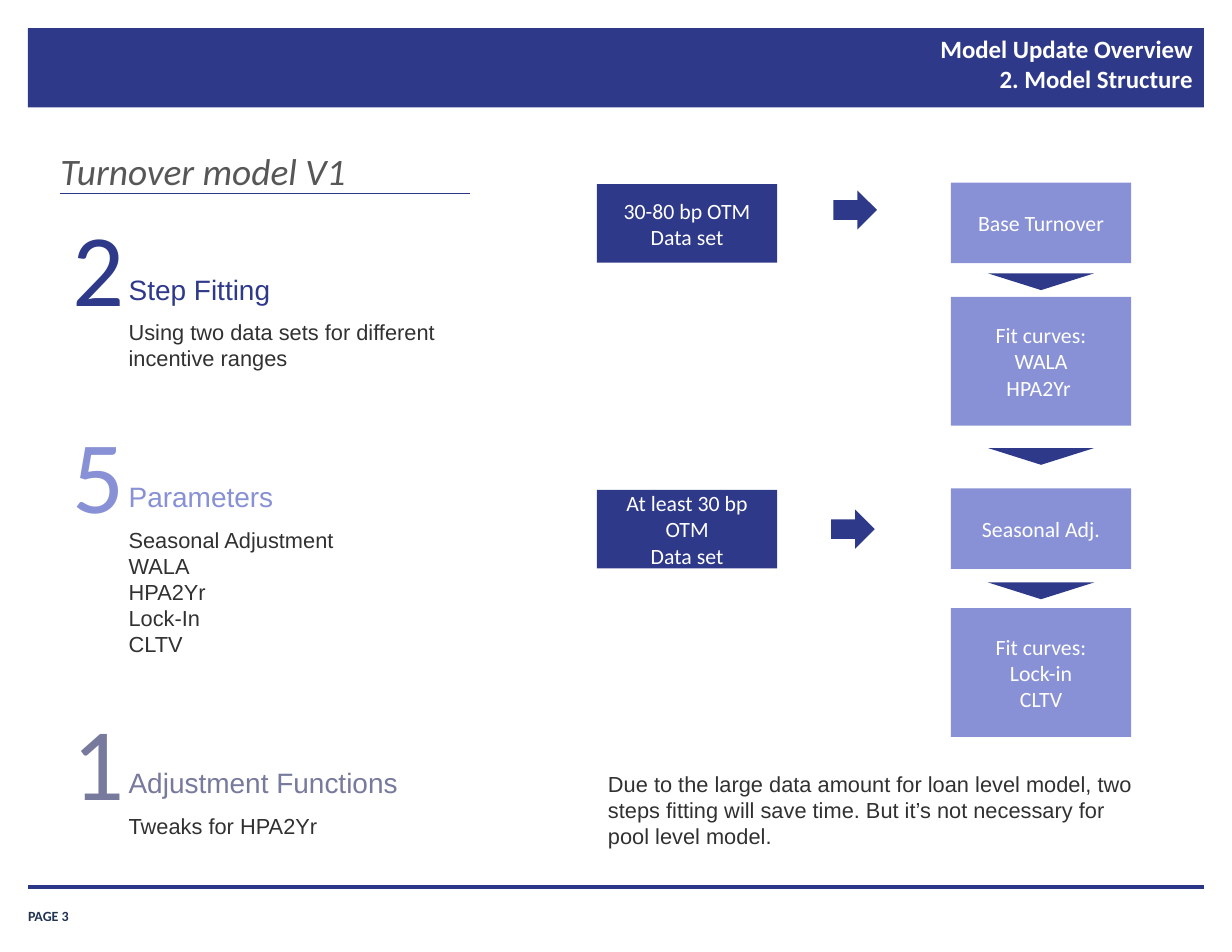
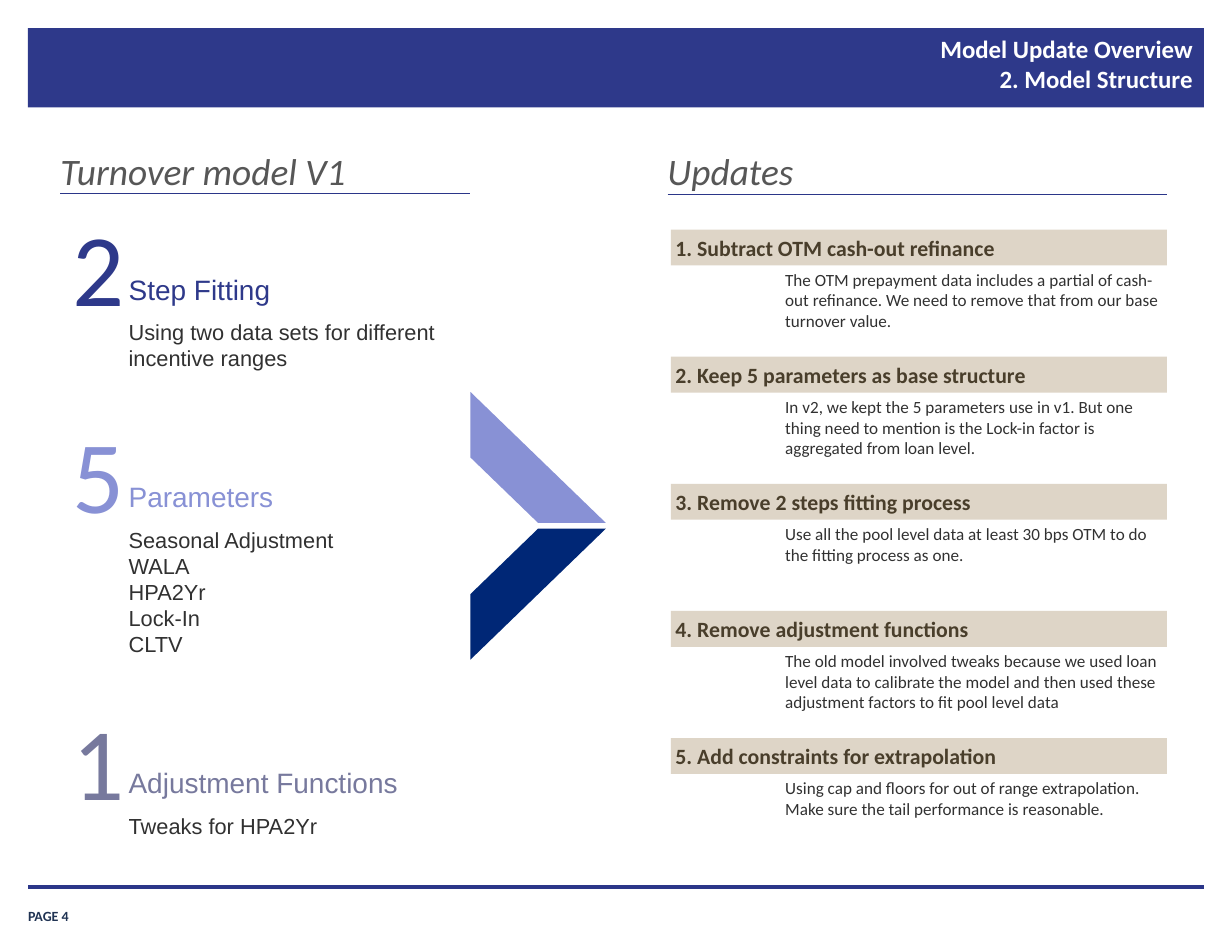
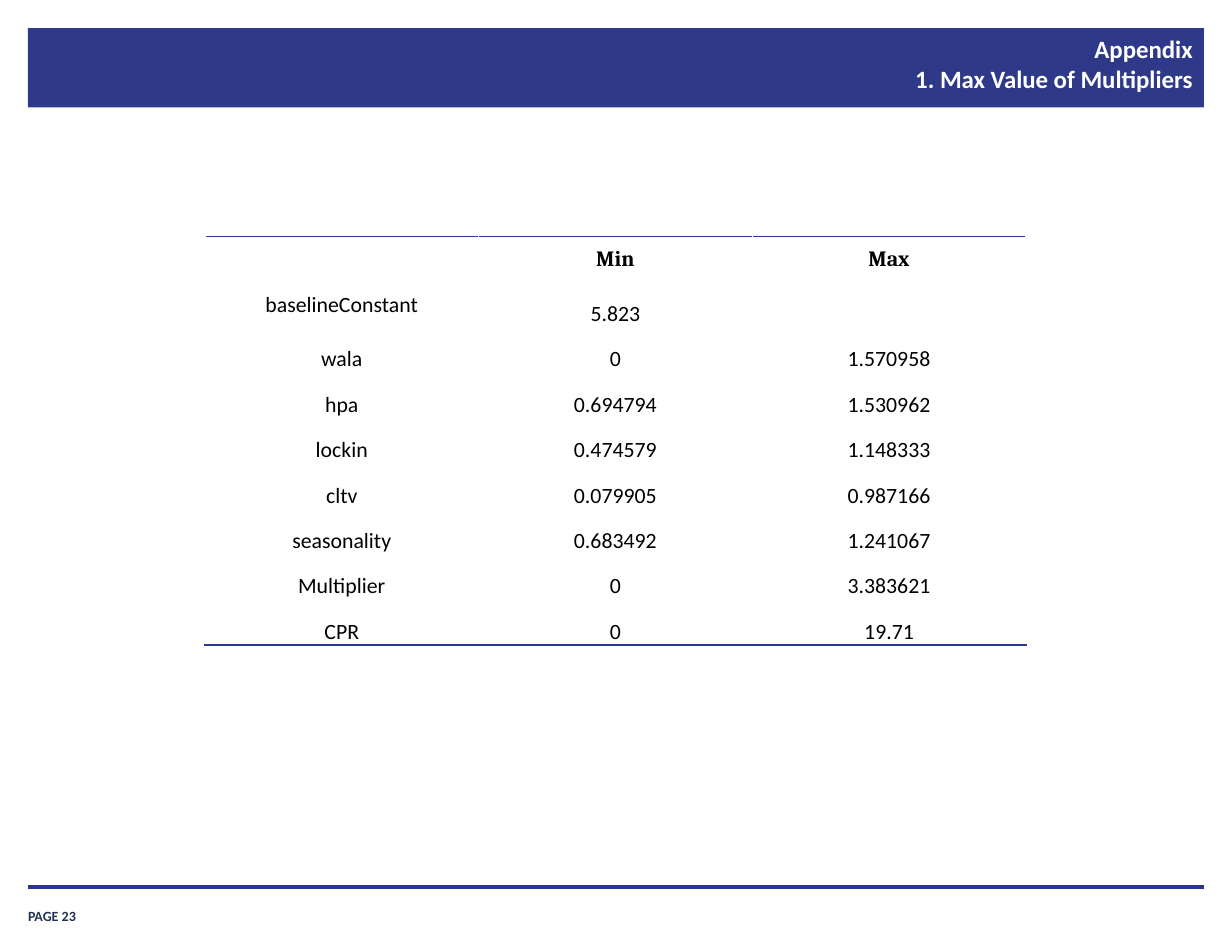
from dataclasses import dataclass

from lxml import etree
from pptx import Presentation
from pptx import util as u
from pptx.dml import color as dml
from pptx.enum import shapes, text
from pptx.oxml import ns

# The slide is a grid of 44 columns by 34 rows; all lengths count grid cells.
COLUMNS, ROWS = 44, 34
SLIDE_WIDTH, SLIDE_HEIGHT = u.Inches(11), u.Inches(8.5)

SHAPE, ALIGN, ANCHOR = shapes.MSO_SHAPE, text.PP_ALIGN, text.MSO_ANCHOR


def font(name, size, colour, **extra):
    return {"name": name, "size": u.Pt(size), "colour": colour, **extra}


@dataclass(frozen=True)
class Theme:
    navy: str = "2E398A"
    rule: str = "2B3689"
    lilac: str = "8891D5"
    slate: str = "77799D"
    deep: str = "002776"
    sand: str = "DED5C7"
    white: str = "FFFFFF"
    ink: str = "313131"
    thin: float = 0.75
    border: float = 1
    thick: float = 2

    def style(self, role):
        return {
            "title": font("Calibri", 16, self.white, bold=True),
            "page": font("Calibri", 9, "203353", bold=True),
            "heading": font("Calibri", 24, "575757", italic=True),
            "number": font("Calibri", 66, self.navy),
            "step": font("Arial", 18, self.navy),
            "body": font("Arial", 14, self.ink),
            "flow": font("Calibri", 14, self.white),
            "update": font("Calibri", 14, "493E2B", bold=True),
            "detail": font("Calibri", 11, self.ink),
            "table head": font("Cambria", 14, "000000", bold=True),
            "table body": font("Calibri", 14, "000000", bold=False),
        }[role]


THEME = Theme()


@dataclass(frozen=True)
class Box:
    left: float
    top: float
    width: float
    height: float

    def inner(self, left, top, width, height):
        return Box(self.left + left, self.top + top, width, height)

    def lengths(self):
        return (across(self.left), down(self.top), across(self.width), down(self.height))


def across(columns):
    return round(SLIDE_WIDTH * columns / COLUMNS)


def down(rows):
    return round(SLIDE_HEIGHT * rows / ROWS)


# Content
MODEL_TITLE = "Model Update Overview\v2. Model Structure"
STEPS = [
    # top row, number, heading, heading width, colour, lines, body height
    (7.28, "2", "Step Fitting", 7.92, THEME.navy,
     ["Using two data sets for different incentive ranges"], 2.28),
    (14.68, "5", "Parameters", 7.92, THEME.lilac,
     ["Seasonal Adjustment", "WALA", "HPA2Yr", "Lock-In", "CLTV"], 5.12),
    (24.92, "1", "Adjustment Functions", 11.84, THEME.slate,
     ["Tweaks for HPA2Yr"], 1.36),
]
STAGES = [
    # top row, data set, arrow place, result, curves, curves row, pointer row
    (6.52, ["30-80 bp OTM", "Data set"], (8.44, 0.28), "Base Turnover",
     ["Fit curves:", "WALA", "HPA2Yr "], 4.08, 3.24),
    (17.44, ["At least 30 bp OTM", "Data set"], (8.36, 0.76), "Seasonal Adj.",
     ["Fit curves:", "Lock-in", "CLTV"], 4.28, 3.36),
]
FLOW_NOTE = ("Due to the large data amount for loan level model, two steps fitting will "
             "save time. But it’s not necessary for pool level model.")
UPDATES = [
    ("Subtract OTM cash-out refinance",
     "The OTM prepayment data includes a partial of cash-out refinance. "
     "We need to remove that from our base turnover value."),
    ("Keep 5 parameters as base structure",
     "In v2, we kept the 5 parameters use in v1. But one thing need to mention "
     "is the Lock-in factor is aggregated from loan level."),
    ("Remove 2 steps fitting process",
     "Use all the pool level data at least 30 bps OTM to do the fitting process as one."),
    ("Remove adjustment functions",
     "The old model involved tweaks because we used loan level data to calibrate "
     "the model and then used these adjustment factors to fit pool level data"),
    ("Add constraints for extrapolation",
     "Using cap and floors for out of range extrapolation. "
     "Make sure the tail performance is reasonable."),
]
MULTIPLIERS = [
    ("", "Min", "Max"),
    ("baselineConstant", "5.823", ""),
    ("wala", "0", "1.570958"),
    ("hpa", "0.694794", "1.530962"),
    ("lockin", "0.474579", "1.148333"),
    ("cltv", "0.079905", "0.987166"),
    ("seasonality", "0.683492", "1.241067"),
    ("Multiplier", "0", "3.383621"),
    ("CPR", "0", "19.71"),
]


# Drawing helpers
def rgb(colour):
    return dml.RGBColor.from_string(colour)


def write(frame, lines, style, align=ALIGN.LEFT, indent=0):
    for index, line in enumerate(lines):
        paragraph = frame.paragraphs[0] if index == 0 else frame.add_paragraph()
        paragraph.text = line
        paragraph.alignment = align
        if indent:
            properties = paragraph._p.get_or_add_pPr()
            properties.set("marL", str(across(indent)))
            properties.set("indent", "0")
        for run in paragraph.runs:
            for key, value in style.items():
                if key == "colour":
                    run.font.color.rgb = rgb(value)
                else:
                    setattr(run.font, key, value)


def set_frame(frame, insets, anchor, grow):
    horizontal, vertical = (u.Inches(inset) for inset in insets)
    settings = {
        "word_wrap": True,
        "vertical_anchor": anchor,
        "auto_size": text.MSO_AUTO_SIZE.SHAPE_TO_FIT_TEXT if grow else text.MSO_AUTO_SIZE.NONE,
        "margin_left": horizontal, "margin_right": horizontal,
        "margin_top": vertical, "margin_bottom": vertical,
    }
    for key, value in settings.items():
        setattr(frame, key, value)


def add_text(slide, box, lines, style, insets=(0.1, 0.05), anchor=ANCHOR.TOP,
             grow=True, **layout):
    frame = slide.shapes.add_textbox(*box.lengths()).text_frame
    set_frame(frame, insets, anchor, grow)
    write(frame, lines, style, **layout)


def add_block(slide, box, colour, kind=SHAPE.RECTANGLE, lines=(), style=None,
              insets=(0.1, 0.05), grow=False, align=ALIGN.CENTER):
    shape = slide.shapes.add_shape(kind, *box.lengths())
    shape.shadow.inherit = False
    shape.fill.solid()
    shape.fill.fore_color.rgb = rgb(colour)
    shape.line.fill.background()
    if lines:
        set_frame(shape.text_frame, insets, ANCHOR.MIDDLE, grow)
        write(shape.text_frame, lines, style, align)
    return shape


def add_rule(slide, left, top, width, weight):
    line = slide.shapes.add_connector(
        shapes.MSO_CONNECTOR.STRAIGHT,
        across(left), down(top), across(left + width), down(top))
    line.line.color.rgb = rgb(THEME.rule)
    line.line.width = u.Pt(weight)
    etree.SubElement(line._element.spPr, ns.qn("a:effectLst"))


def set_border(cell, sides):
    properties = cell._tc.get_or_add_tcPr()
    for index, side in enumerate(sides):
        line = etree.Element(ns.qn(f"a:ln{side}"), w=str(u.Pt(THEME.border)))
        fill = etree.SubElement(line, ns.qn("a:solidFill"))
        etree.SubElement(fill, ns.qn("a:srgbClr"), val=THEME.navy)
        properties.insert(index, line)


# Regions
def draw_frame(slide, box, title, page):
    """Title band, footer rule and page number."""
    add_block(slide, box.inner(0, 0, box.width, 2.84), THEME.navy)
    add_text(slide, box.inner(0, 31.08, 3.64, 0.92), [f"PAGE {page}"], THEME.style("page"),
             insets=(0, 0), anchor=ANCHOR.BOTTOM, grow=False)
    add_rule(slide, box.left, box.top + 30.68, box.width, THEME.thick)
    add_text(slide, box.inner(12.28, -0.04, 29.76, 2.96), [title], THEME.style("title"),
             insets=(0.11, 0.06), grow=False, align=ALIGN.RIGHT)


def draw_heading(slide, box, heading):
    add_text(slide, box.inner(0, 0, 22.24, 1.6), [heading], THEME.style("heading"),
             insets=(0, 0))
    add_rule(slide, box.left, box.top + box.height, box.width, THEME.thin)


def draw_step(slide, box, number, heading, heading_width, colour, lines):
    """Large number with a heading and body text to its right."""
    add_text(slide, box.inner(0, 0, 1.6, 4.44), [number],
             {**THEME.style("number"), "colour": colour}, insets=(0, 0), align=ALIGN.CENTER)
    add_text(slide, box.inner(1.6, 2.24, heading_width, 1.6), [heading],
             {**THEME.style("step"), "colour": colour})
    add_text(slide, box.inner(1.6, 3.92, 11.84, box.height - 3.92), lines,
             THEME.style("body"))


def draw_model(slide, box):
    draw_heading(slide, box.inner(0, 0, 14.64, 1.64), "Turnover model V1")
    for top, number, heading, heading_width, colour, lines, height in STEPS:
        step = box.inner(0.44, top - box.top, 13.44, 3.92 + height)
        draw_step(slide, step, number, heading, heading_width, colour, lines)


def draw_pointer(slide, box, top):
    pointer = add_block(slide, box.inner(13.96, top, 3.8, 0.6), THEME.navy,
                        SHAPE.ISOSCELES_TRIANGLE)
    pointer.rotation = 180


def draw_stage(slide, box, data_set, arrow, result, curves, curves_top, pointer_top):
    """One fitting stage: data set, arrow, result and its curves."""
    style = THEME.style("flow")
    add_block(slide, box.inner(0, 0.06, 6.44, 2.8), THEME.navy, lines=data_set, style=style)
    add_block(slide, box.inner(*arrow, 1.56, 1.4), THEME.navy, SHAPE.RIGHT_ARROW)
    for top, height, lines in ((0, 2.88, [result]), (curves_top, 4.6, curves)):
        add_block(slide, box.inner(12.64, top, 6.44, height), THEME.lilac,
                  lines=lines, style=style)
    draw_pointer(slide, box, pointer_top)


def draw_flow(slide, box):
    for top, *stage in STAGES:
        draw_stage(slide, box.inner(0, top - box.top, box.width, 9), *stage)
    draw_pointer(slide, box, 9.48)
    add_text(slide, box.inner(0, 20.8, 19.8, 3.24), [FLOW_NOTE], THEME.style("body"))


def draw_chevron(slide, box):
    """Two stripes that meet in a point."""
    half = 4.68
    upper = add_block(slide, box.inner(0, 0, box.width, half), THEME.lilac,
                      SHAPE.DIAGONAL_STRIPE)
    upper._element.spPr.get_or_add_xfrm().set("flipV", "1")
    add_block(slide, box.inner(0, box.height - half, box.width, half), THEME.deep,
              SHAPE.DIAGONAL_STRIPE)


def draw_updates(slide, box):
    draw_heading(slide, box.inner(0, 0, box.width, 1.68), "Updates")
    pitch, insets = 4.54, (0.04, 0.04)
    for index, (heading, detail) in enumerate(UPDATES):
        row = box.inner(0.12, 2.92 + index * pitch, 17.72, pitch)
        add_block(slide, row.inner(0, 0, row.width, 1.28), THEME.sand,
                  lines=[f"{index + 1}. {heading}"], style=THEME.style("update"),
                  insets=insets, grow=True, align=ALIGN.LEFT)
        add_text(slide, row.inner(1.92, 1.26, 15.8, 2.52), [detail], THEME.style("detail"),
                 insets=insets, indent=2)


def draw_table(slide, box, records):
    table = slide.shapes.add_table(len(records), len(records[0]), *box.lengths()).table
    table.first_row = table.horz_banding = False
    borders = {0: "TB", len(records) - 1: "B"}
    margins = {"margin_left": 0.01, "margin_right": 0.01, "margin_top": 0.01, "margin_bottom": 0}
    for row, record in enumerate(records):
        table.rows[row].height = down(box.height / len(records))
        for column, value in enumerate(record):
            cell = table.cell(row, column)
            for key, inset in margins.items():
                setattr(cell, key, u.Inches(inset))
            middle = row == 0 or (row == 1 and column == 0)
            cell.vertical_anchor = ANCHOR.MIDDLE if middle else ANCHOR.BOTTOM
            cell.fill.background()
            style = THEME.style("table body" if row else "table head")
            write(cell.text_frame, [value], style, ALIGN.CENTER)
            set_border(cell, borders.get(row, ""))


# Slides
def add_slide(presentation, title, page):
    slide = presentation.slides.add_slide(presentation.slide_layouts[6])
    draw_frame(slide, Box(1, 1, COLUMNS - 2, ROWS - 2), title, page)
    return slide


def main():
    presentation = Presentation()
    presentation.slide_width, presentation.slide_height = SLIDE_WIDTH, SLIDE_HEIGHT
    model = Box(2.16, 5.28, 14.64, 25)

    slide = add_slide(presentation, MODEL_TITLE, 3)
    draw_flow(slide, Box(21.32, 6.52, 19.8, 24.04))
    draw_model(slide, model)

    slide = add_slide(presentation, MODEL_TITLE, 4)
    draw_model(slide, model)
    draw_chevron(slide, Box(16.8, 14, 4.84, 9.56))
    draw_updates(slide, Box(23.84, 5.28, 17.84, 25))

    slide = add_slide(presentation, "Appendix\v1. Max Value of Multipliers", 23)
    draw_table(slide, Box(7.32, 8.44, 29.32, 14.6), MULTIPLIERS)

    presentation.save("out.pptx")


if __name__ == "__main__":
    main()
